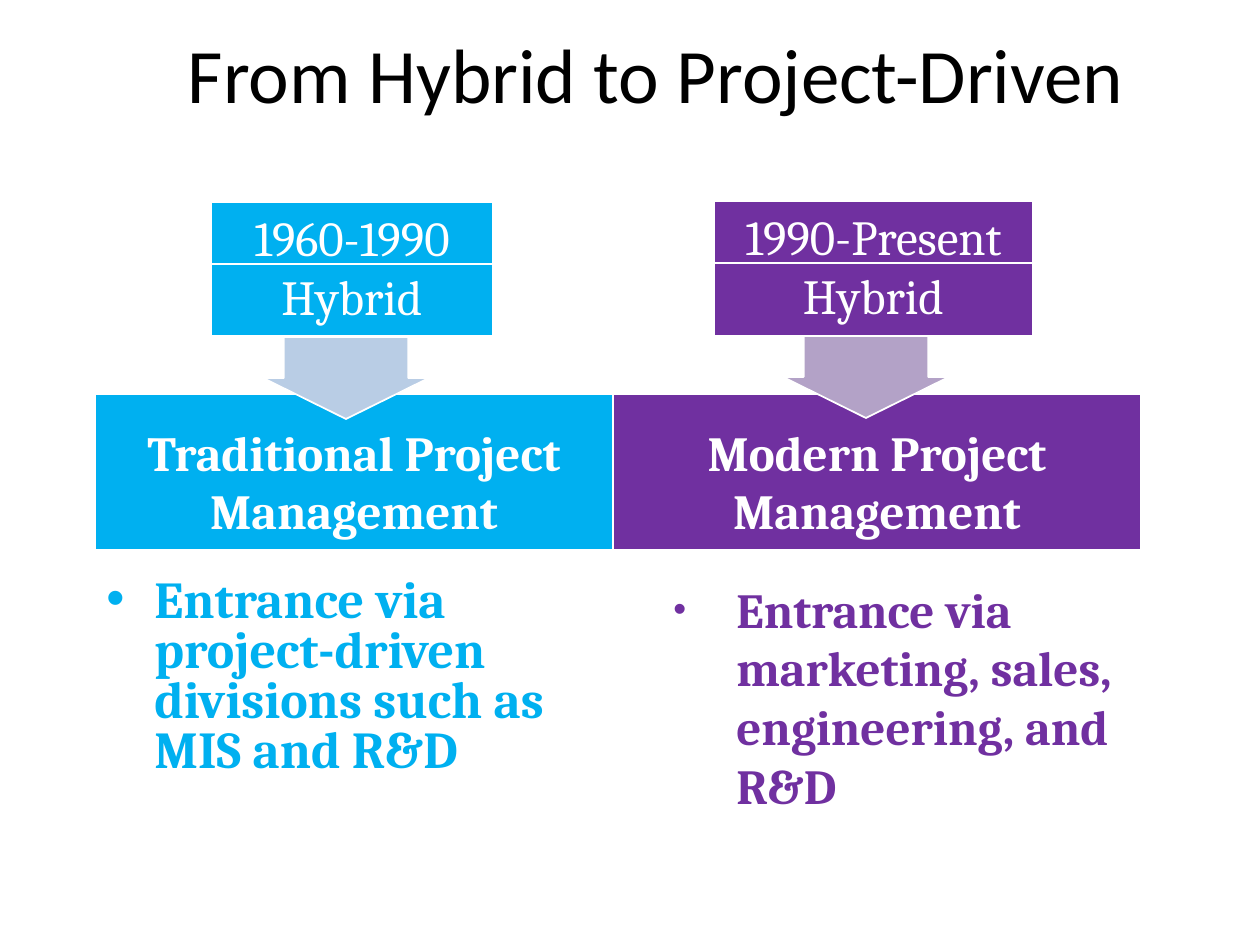
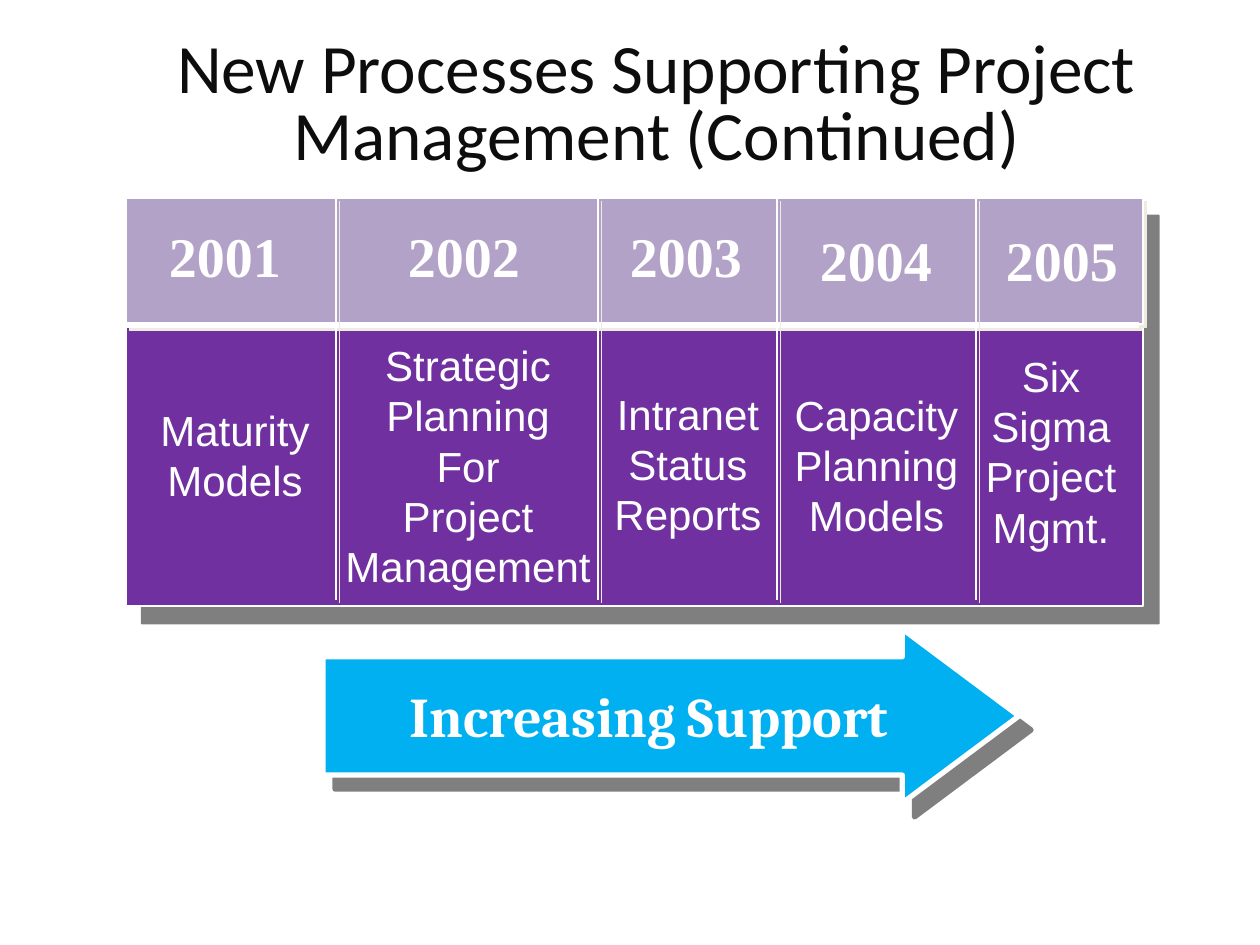
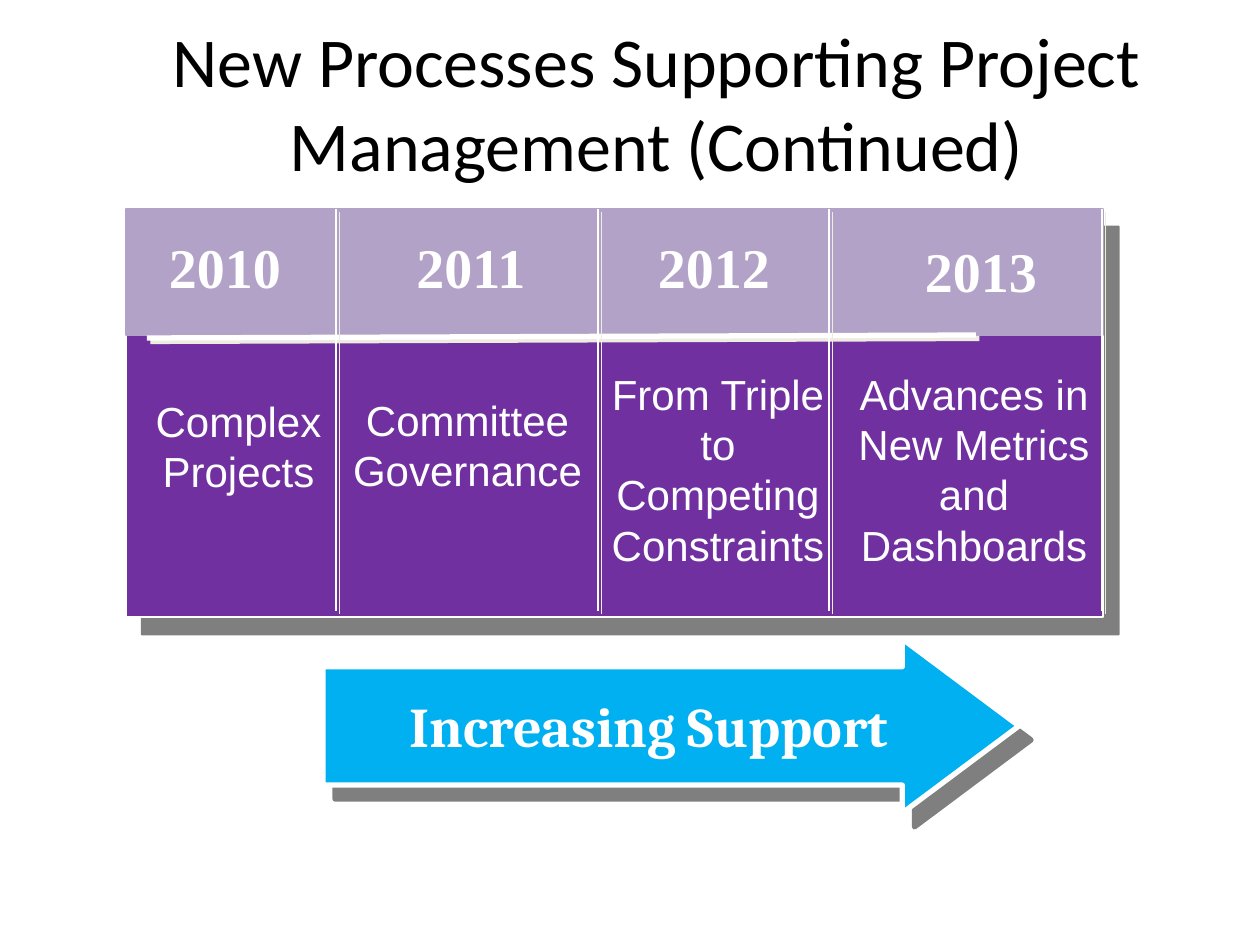
from collections import namedtuple

from lxml import etree
from pptx import Presentation
from pptx.dml.color import RGBColor
from pptx.enum.shapes import MSO_CONNECTOR, MSO_SHAPE
from pptx.enum.text import MSO_ANCHOR, PP_ALIGN
from pptx.oxml.ns import qn
from pptx.util import Emu, Pt

EMU_PER_PX = 914400 / 126
WHITE, BLACK, SOFT_BLACK = "FFFFFF", "000000", "0D0D0D"
CYAN, PURPLE, PALE_BLUE, LILAC, CREAM = "00B0F0", "7030A0", "B9CDE5", "B3A2C7", "EEECE1"

Shadow = namedtuple("Shadow", "color alpha distance angle")
PANEL_SHADOW = Shadow(BLACK, 50, 13.5, 48)
ARROW_SHADOW = Shadow(BLACK, 50, 10.6, 49)
EDGE_SHADOW = Shadow(CREAM, 100, 2.8, 45)

# Boxes are (left, top, width, height); those of a column are relative to its table.
Column = namedtuple("Column", "year year_center year_top lines box")
Era = namedtuple("Era", "color arrow_color period period_box heading band_box arrow_box")


def px(length):
    return Emu(round(length * EMU_PER_PX))


def rgb(color):
    return RGBColor.from_string(color)


def set_shadow(shape, shadow):
    """Replace the theme shadow; call it once the line is set."""
    effects = etree.SubElement(shape._element.spPr, qn("a:effectLst"))
    if shadow:
        outer = etree.SubElement(
            effects, qn("a:outerShdw"), dist=str(Pt(shadow.distance)),
            dir=str(shadow.angle * 60000), algn="ctr", rotWithShape="0")
        color = etree.SubElement(outer, qn("a:srgbClr"), val=shadow.color)
        etree.SubElement(color, qn("a:alpha"), val=str(shadow.alpha * 1000))


def set_line(shape, color, width):
    shape.line.color.rgb = rgb(color)
    shape.line.width = Pt(width)


def add_block(slide, box, fill, kind=MSO_SHAPE.RECTANGLE, adjustments=(),
              line=WHITE, line_width=1, shadow=None):
    shape = slide.shapes.add_shape(kind, *map(px, box))
    for index, value in enumerate(adjustments):
        shape.adjustments[index] = value
    shape.fill.solid()
    shape.fill.fore_color.rgb = rgb(fill)
    set_line(shape, line, line_width)
    set_shadow(shape, shadow)


def add_rule(slide, start, end, width=1, shadow=None):
    connector = slide.shapes.add_connector(
        MSO_CONNECTOR.STRAIGHT, *map(px, start + end))
    set_line(connector, WHITE, width)
    set_shadow(connector, shadow)


def set_bullet(paragraph, indent, size, color):
    properties = paragraph._p.get_or_add_pPr()
    properties.set("marL", str(px(indent)))
    properties.set("indent", str(-px(indent)))
    bullet_color = etree.SubElement(properties, qn("a:buClr"))
    etree.SubElement(bullet_color, qn("a:srgbClr"), val=color)
    etree.SubElement(properties, qn("a:buSzPct"), val=str(size * 1000))
    etree.SubElement(properties, qn("a:buFont"), typeface="Arial")
    etree.SubElement(properties, qn("a:buChar"), char="•")


def add_text(slide, box, lines, size, font, color=WHITE, bold=False,
             align=PP_ALIGN.CENTER, anchor=MSO_ANCHOR.TOP, spacing=None,
             bullet=None):
    """Write one paragraph per line; bullet is (indent, size in percent)."""
    frame = slide.shapes.add_textbox(*map(px, box)).text_frame
    frame.word_wrap = True
    frame.vertical_anchor = anchor
    for index, line in enumerate(lines):
        paragraph = frame.add_paragraph() if index else frame.paragraphs[0]
        paragraph.text = line
        if bullet:
            set_bullet(paragraph, *bullet, color)
        paragraph.alignment = align
        if spacing:
            paragraph.line_spacing = spacing
        paragraph.font.name = font
        paragraph.font.size = Pt(size)
        paragraph.font.bold = bold
        paragraph.font.color.rgb = rgb(color)


def add_title(slide, text, top, height=152, size=40, color=BLACK, spacing=None):
    add_text(slide, (126, top, 1061, height), [text], size, "Calibri", color,
             anchor=MSO_ANCHOR.MIDDLE, spacing=spacing)


def add_era(slide, era):
    """Draw a dated box whose arrow points down at a heading band."""
    left, top, width, height = era.period_box
    band_left, band_top, band_width, _ = era.band_box
    add_block(slide, era.band_box, era.color)
    add_text(slide, (band_left, band_top + 22, band_width, 130), era.heading,
             28, "Cambria", bold=True)
    add_block(slide, era.period_box, era.color)
    add_block(slide, era.arrow_box, era.arrow_color, MSO_SHAPE.DOWN_ARROW, (0.75, 0.5))
    text_width = 316
    add_text(slide, (left + (width - text_width) / 2, top - 1, text_width, 130),
             [era.period], 28, "Cambria")
    add_rule(slide, (left, top + 62), (left + width, top + 62))


def add_process_table(slide, box, columns, dividers, rule, **header_format):
    """Draw year headings over processes; dividers and rule are box-relative."""
    left, top, width, _ = box
    add_block(slide, box, PURPLE, shadow=PANEL_SHADOW)
    add_block(slide, (left, top, width, 126), LILAC, **header_format)
    year_width = 138
    for column in columns:
        add_text(slide, (left + column.year_center - year_width / 2,
                         top + column.year_top, year_width, 81),
                 [column.year], 32, "Times New Roman", bold=True)
        text_left, text_top, *text_size = column.box
        add_text(slide, (left + text_left, top + text_top, *text_size),
                 column.lines, 24, "Arial")
    start, end = [(left + x, top + y) for x, y in rule]
    add_rule(slide, start, end, 3, EDGE_SHADOW)
    for x in dividers:
        add_rule(slide, (left + x, top), (left + x, top + 402), shadow=EDGE_SHADOW)


def add_support_arrow(slide, top):
    left, width, height = 323, 696, 174
    add_block(slide, (left, top, width, height), CYAN, MSO_SHAPE.RIGHT_ARROW,
              (0.68, 0.67), line_width=3, shadow=ARROW_SHADOW)
    add_text(slide, (left, top + 46, 652, 81), ["Increasing Support"],
             32, "Cambria", bold=True)


def build_eras(slide):
    add_title(slide, "From Hybrid to Project-Driven", 0, 145, 44)
    add_era(slide, Era(CYAN, PALE_BLUE, "1960-1990 Hybrid", (211, 202, 282, 134),
                       ["Traditional Project", "Management"],
                       (95, 394, 518, 156), (263, 337, 166, 82)))
    add_era(slide, Era(PURPLE, LILAC, "1990-Present Hybrid", (714, 201, 319, 135),
                       ["Modern Project", "Management"],
                       (613, 394, 528, 156), (783, 336, 166, 82)))
    add_text(slide, (94, 573, 494, 237),
             ["Entrance via project-driven divisions such as MIS and R&D"],
             29.6, "Cambria", CYAN, True, PP_ALIGN.LEFT, spacing=0.8,
             bullet=(48, 100))
    add_text(slide, (661, 573, 526, 237),
             ["Entrance via marketing, sales, engineering, and R&D"],
             28, "Cambria", PURPLE, True, PP_ALIGN.LEFT, bullet=(63, 75))


PROCESSES_TITLE = "New Processes Supporting Project Management (Continued)"


def build_early_processes(slide):
    add_support_arrow(slide, 629)
    add_title(slide, PROCESSES_TITLE, 31, size=39.6, color=SOFT_BLACK, spacing=0.8)
    columns = [
        Column("2001", 99, 17, ["Maturity", "Models"], (21, 200, 176, 115)),
        Column("2002", 338, 17,
               ["Strategic", "Planning", "For", "Project", "Management"],
               (205, 135, 274, 268)),
        Column("2003", 560, 17, ["Intranet", "Status", "Reports"], (475, 184, 174, 165)),
        Column("2004", 750, 21, ["Capacity", "Planning", "Models"], (655, 185, 191, 165)),
        Column("2005", 936, 21, ["Six Sigma Project Mgmt."], (844, 146, 162, 215)),
    ]
    add_process_table(slide, (126, 198, 1017, 408), columns, (210, 472, 651, 850),
                      ((0, 127), (1013, 127)), shadow=EDGE_SHADOW)


def build_late_processes(slide):
    add_title(slide, PROCESSES_TITLE, 26)
    add_support_arrow(slide, 639)
    columns = [
        Column("2010", 99, 17, ["Complex", "Projects"], (14, 180, 197, 115)),
        Column("2011", 345, 17, ["Committee", "Governance"], (210, 179, 263, 115)),
        Column("2012", 588, 17, ["From Triple to Competing Constraints"],
               (472, 153, 240, 215)),
        Column("2013", 855, 21, ["Advances in New Metrics and Dashboards"],
               (719, 153, 258, 215)),
    ]
    add_process_table(slide, (126, 209, 977, 408), columns, (210, 472, 703, 976),
                      ((21, 129), (850, 126)), line=LILAC)


def main():
    presentation = Presentation()
    presentation.slide_width, presentation.slide_height = px(1260), px(945)
    blank = presentation.slide_layouts[6]
    for build in (build_eras, build_early_processes, build_late_processes):
        build(presentation.slides.add_slide(blank))
    presentation.save("out.pptx")


if __name__ == "__main__":
    main()
